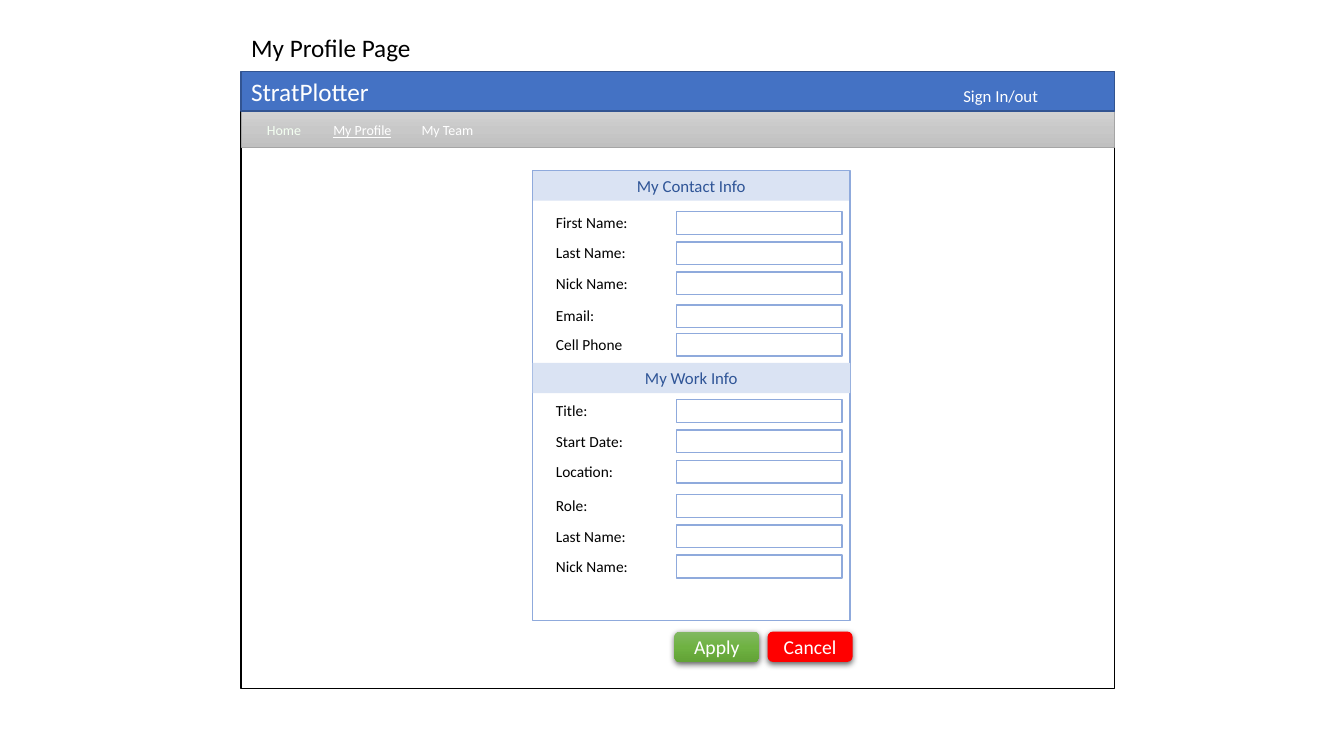
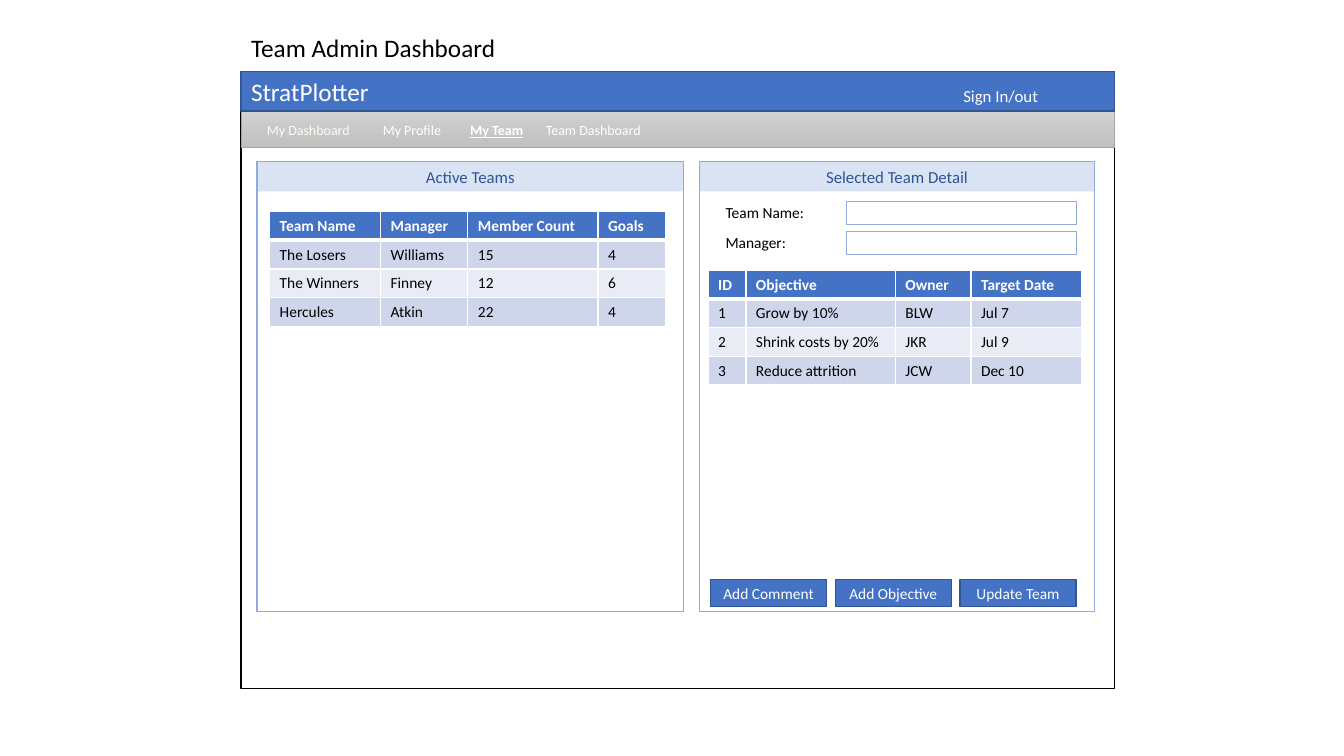
from copy import deepcopy

from lxml.etree import SubElement
from pptx import Presentation
from pptx.dml.color import RGBColor
from pptx.enum.shapes import MSO_SHAPE as SHAPE
from pptx.enum.text import MSO_ANCHOR as ANCHOR, MSO_AUTO_SIZE as AUTOSIZE, PP_ALIGN as ALIGN
from pptx.oxml.ns import qn
from pptx.util import Emu, Inches, Pt

COLS, ROWS = 160, 90
CELL = Inches(1) // 12

FONT = "Calibri"
BLACK, WHITE, RED = "000000", "FFFFFF", "FF0000"
BLUE, BLUE_EDGE = "4472C4", "325491"
PALE_BLUE, MID_BLUE, DEEP_BLUE = "DAE3F3", "8FAADC", "2F5597"
GRAY_EDGE, HOME_TINT = "A5A5A5", "F3FFF1"
GRAYS = ("D2D2D2", "C8C8C8", "C0C0C0")
GREENS = ("81B861", "6FB242", "62A336")
ROW_BANDS = ("CFD5EA", "E9EBF5")

FRAME_X, FRAME_W = 28.7, 104
HEADER_H = 3.6
FIELD_PITCH = 3.6
PANEL_H = 53.6


def rgb(color):
    return RGBColor.from_string(color)


def grid(*cells):
    return [Emu(round(n * CELL)) for n in cells]


def paint(sp, fill):
    """Fill with one colour, with three from top to bottom, or not at all."""
    if fill is None:
        sp.fill.background()
    elif isinstance(fill, str):
        sp.fill.solid()
        sp.fill.fore_color.rgb = rgb(fill)
    else:
        sp.fill.gradient()
        sp.fill.gradient_angle = 270
        first = sp._element.spPr.find(".//" + qn("a:gs"))
        first.addnext(deepcopy(first))
        for stop, position, color in zip(sp.fill.gradient_stops, (0, 0.5, 1), fill):
            stop.position = position
            stop.color.rgb = rgb(color)


def drop_shadow(sp):
    effects = sp._element.spPr.find(qn("a:effectLst"))
    shadow = SubElement(effects, qn("a:outerShdw"), blurRad=str(Pt(4.5)),
                        dist=str(Pt(1.5)), dir="5400000", rotWithShape="0")
    color = SubElement(shadow, qn("a:srgbClr"), val=BLACK)
    SubElement(color, qn("a:alpha"), val="63000")


def cell_borders(cell, bottom):
    """Draw white borders, 1 pt wide except at the bottom."""
    props = cell._tc.get_or_add_tcPr()
    for i, (side, width) in enumerate(zip("LRTB", (1, 1, 1, bottom))):
        ln = SubElement(props, qn(f"a:ln{side}"), w=str(Pt(width)))
        fill = SubElement(ln, qn("a:solidFill"))
        SubElement(fill, qn("a:srgbClr"), val=WHITE)
        props.insert(i, ln)


class Mockup:
    """Style of the app screens, with the slide being drawn."""

    def __init__(self):
        self.prs = Presentation()
        self.prs.slide_width, self.prs.slide_height = grid(COLS, ROWS)

    def set_text(self, tf, text, size, color, align=ALIGN.LEFT, bold=False, underline=False):
        tf.text = text
        p = tf.paragraphs[0]
        p.alignment = align
        font = p.font
        font.name, font.size, font.color.rgb = FONT, Pt(size), rgb(color)
        font.bold, font.underline = bold, underline

    def text(self, x, y, w, h, text, size, color, **style):
        tf = self.slide.shapes.add_textbox(*grid(x, y, w, h)).text_frame
        tf.word_wrap = True
        self.set_text(tf, text, size, color, **style)

    def box(self, x, y, w, h, fill=None, line=None, width=1, kind=SHAPE.RECTANGLE):
        sp = self.slide.shapes.add_shape(kind, *grid(x, y, w, h))
        sp.shadow.inherit = False
        paint(sp, fill)
        if line:
            sp.line.color.rgb = rgb(line)
            sp.line.width = Pt(width)
        else:
            sp.line.fill.background()
        return sp

    def label(self, sp, text, size, color):
        """Centre a text in a shape."""
        tf = sp.text_frame
        tf.vertical_anchor = ANCHOR.MIDDLE
        tf.margin_left = tf.margin_right = 0
        self.set_text(tf, text, size, color, align=ALIGN.CENTER)

    def screen(self, title, tabs, active):
        """Start a slide with its title, app bar and tabs of (name, left, width)."""
        self.slide = self.prs.slides.add_slide(self.prs.slide_layouts[5])
        heading = self.slide.shapes.title
        heading.left, heading.top, heading.width, heading.height = grid(FRAME_X, 3.2, 42.4, 4.8)
        tf = heading.text_frame
        tf.auto_size, tf.vertical_anchor = AUTOSIZE.NONE, ANCHOR.TOP
        self.set_text(tf, title, 18, BLACK)

        self.box(FRAME_X, 8.8, FRAME_W, 73.2, line=BLACK)
        self.box(FRAME_X, 13.3, FRAME_W, 4.2, GRAYS, GRAY_EDGE, 0.5)
        self.box(FRAME_X, 8.5, FRAME_W, 4.7, BLUE, BLUE_EDGE)
        self.text(FRAME_X, 8.5, 19.1, 4.8, "StratPlotter", 18, WHITE)
        self.text(113.5, 9.6, 19.1, 3.6, "Sign In/out", 12, WHITE)
        for i, (name, x, w) in enumerate(tabs):
            self.text(x, 13.9, w, 3.2, name, 10, WHITE if i else HOME_TINT,
                      underline=name == active, bold=name == active == "My Team")

    def section(self, x, y, w, text):
        self.label(self.box(x, y, w, HEADER_H, PALE_BLUE), text, 12, DEEP_BLUE)

    def panel(self, x, y, w, text):
        self.section(x, y, w, text)
        self.box(x, y, w, PANEL_H, line=MID_BLUE)

    def fields(self, x, y, w, names, pitch=FIELD_PITCH):
        """Stack names, each with an entry box of width w."""
        for i, name in enumerate(names):
            top = y + i * pitch
            self.text(x, top - 0.4, 14.4, 3.5, name, 11, BLACK)
            self.box(x + 15.55, top, w, 2.7, line=MID_BLUE)

    def buttons(self, x, y, w, h, gap, names):
        for i, name in enumerate(names):
            sp = self.box(x + i * (w + gap), y, w, h, BLUE, BLUE_EDGE)
            self.label(sp, name, 11, WHITE)

    def glossy_button(self, x, y, text, fill):
        sp = self.box(x, y, 10.1, 3.6, fill, kind=SHAPE.ROUNDED_RECTANGLE)
        drop_shadow(sp)
        self.label(sp, text, 14, WHITE)

    def table(self, x, y, widths, rows):
        row_h = 3.4
        frame = self.slide.shapes.add_table(
            len(rows), len(widths), *grid(x, y, sum(widths), row_h * len(rows)))
        table = frame.table
        for column, width in zip(table.columns, grid(*widths)):
            column.width = width
        for r, row in enumerate(rows):
            head = r == 0
            for c, value in enumerate(row):
                cell = table.cell(r, c)
                self.set_text(cell.text_frame, value, 11, WHITE if head else BLACK, bold=head)
                paint(cell, BLUE if head else ROW_BANDS[(r - 1) % 2])
                cell_borders(cell, 3 if head else 1)


def profile_page(m):
    m.screen("My Profile Page",
             [("Home", 30.6, 7.8), ("My Profile", 38.5, 11.2), ("My Team", 49, 11.2)],
             "My Profile")
    x, w = 63.4, 37.8
    m.panel(x, 20.3, w, "My Contact Info")
    m.section(x, 43.2, w, "My Work Info")
    names = ["First Name:", "Last Name:", "Nick Name:"]
    field_x, field_w = 65, 19.7
    m.fields(field_x, 25.2, field_w, names)
    m.fields(field_x, 36.3, field_w, ["Email:", "Cell Phone"], 3.4)
    m.fields(field_x, 47.6, field_w, ["Title:", "Start Date:", "Location:"])
    m.fields(field_x, 58.9, field_w, ["Role:"] + names[1:])
    m.glossy_button(80.3, 75.2, "Apply", GREENS)
    m.glossy_button(91.4, 75.2, "Cancel", RED)


def team_dashboard(m):
    m.screen("Team Admin Dashboard",
             [("My Dashboard", 30.6, 14.9), ("My Profile", 44.4, 11.2),
              ("My Team", 54.8, 11.2), ("Team Dashboard", 63.8, 17.6)],
             "My Team")
    m.panel(30.6, 19.2, 50.8, "Active Teams")
    m.panel(83.3, 19.2, 47, "Selected Team Detail")
    m.fields(85.2, 24, 27.4, ["Team Name:", "Manager:"])
    m.buttons(84.6, 69, 13.8, 3.2, 1.05, ["Add Comment", "Add Objective", "Update Team"])
    m.table(32.1, 25.2, (13.2, 10.4, 15.5, 8.1), [
        ("Team Name", "Manager", "Member Count", "Goals"),
        ("The Losers", "Williams", "15", "4"),
        ("The Winners", "Finney", "12", "6"),
        ("Hercules", "Atkin", "22", "4"),
    ])
    m.table(84.3, 32.2, (4.5, 17.8, 9, 13.2), [
        ("ID", "Objective", "Owner", "Target Date"),
        ("1", "Grow by 10%", "BLW", "Jul 7"),
        ("2", "Shrink costs by 20%", "JKR", "Jul 9"),
        ("3", "Reduce attrition", "JCW", "Dec 10"),
    ])


def main():
    m = Mockup()
    profile_page(m)
    team_dashboard(m)
    m.prs.save("out.pptx")


if __name__ == "__main__":
    main()
